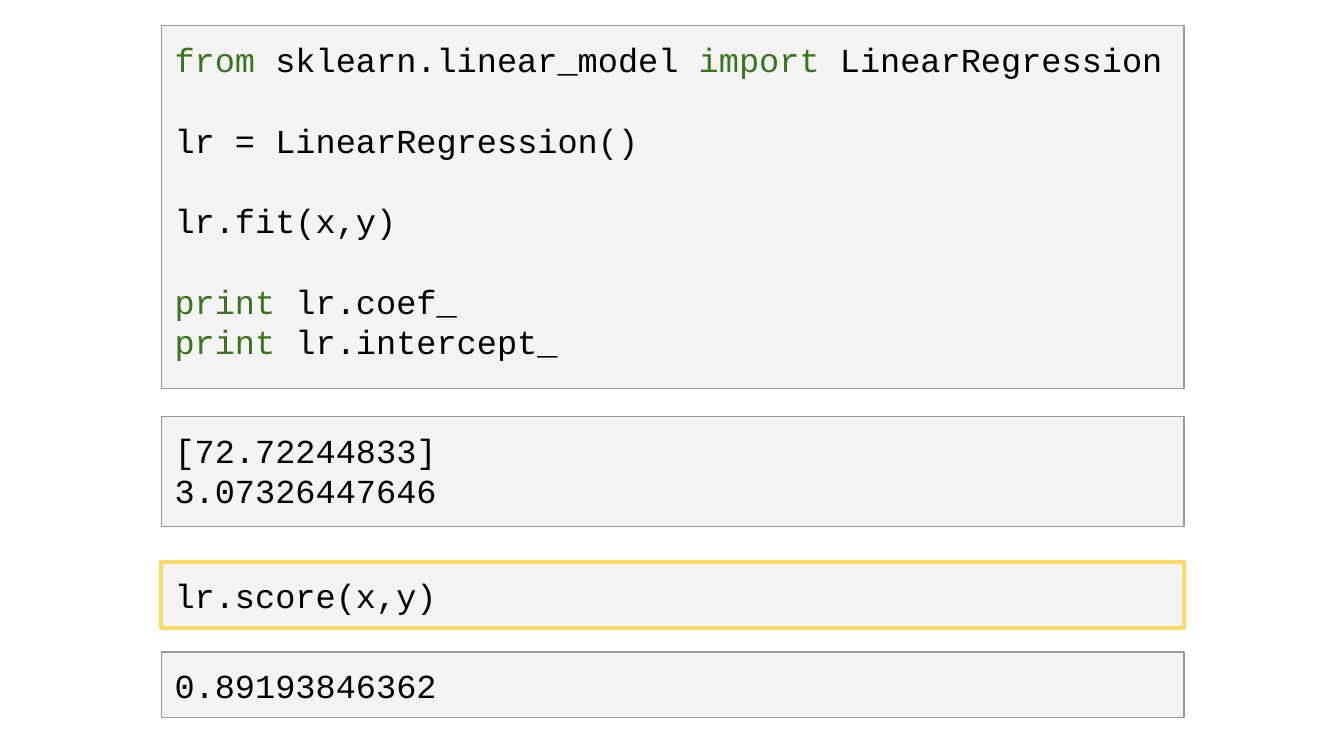
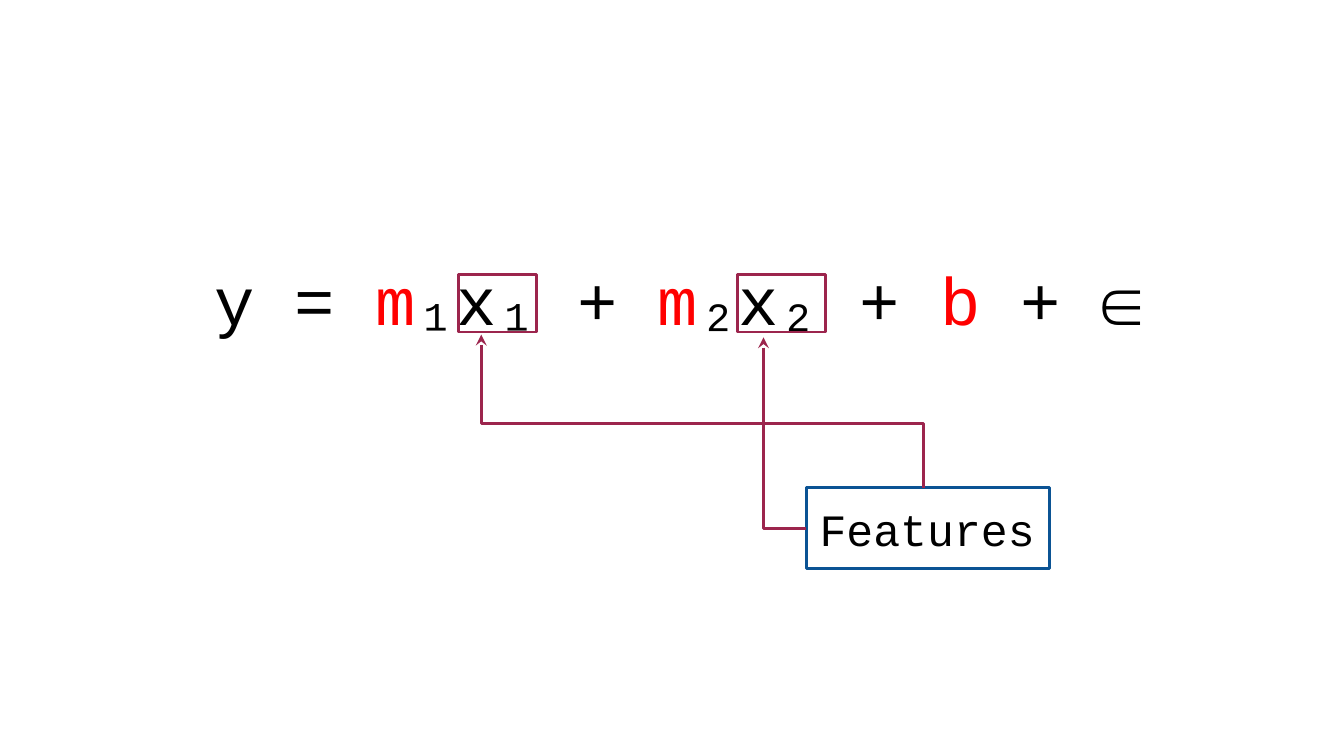
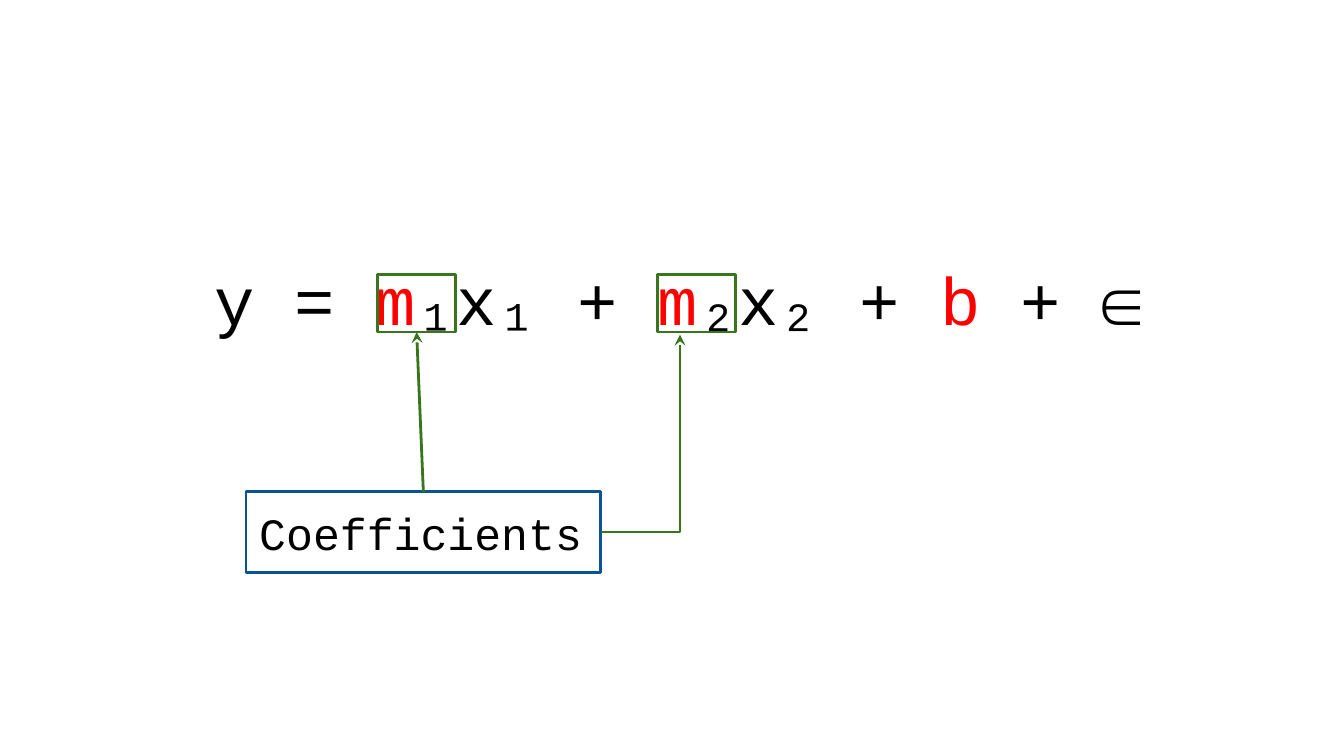
"""Build three slides on linear regression: code, features and coefficients."""
from dataclasses import dataclass

from lxml.etree import SubElement
from pptx import Presentation
from pptx.dml.color import RGBColor as RGB
from pptx.enum.shapes import MSO_CONNECTOR as CONN, MSO_SHAPE as SHAPE
from pptx.enum.text import MSO_ANCHOR as ANCHOR, PP_ALIGN as ALIGN
from pptx.oxml.ns import qn
from pptx.util import Pt


@dataclass(frozen=True)
class Theme:
    font: str = "Courier New"
    code_size: float = 18
    label_size: float = 24
    formula_size: float = 36
    blank_line: float = 21.6
    inset: float = 7.2
    thin: float = 0.75
    medium: float = 1.5
    thick: float = 2.25
    ink: RGB = RGB(0x00, 0x00, 0x00)
    panel: RGB = RGB(0xF3, 0xF3, 0xF3)
    border: RGB = RGB(0x99, 0x99, 0x99)
    highlight: RGB = RGB(0xFF, 0xD9, 0x66)
    green: RGB = RGB(0x38, 0x76, 0x1D)
    red: RGB = RGB(0xFF, 0x00, 0x00)
    blue: RGB = RGB(0x0B, 0x53, 0x94)
    plum: RGB = RGB(0x9C, 0x25, 0x4D)


T = Theme()
Point = tuple[float, float]


@dataclass(frozen=True)
class Box:
    x: float
    y: float
    w: float
    h: float

    def lengths(self) -> tuple:
        return Pt(self.x), Pt(self.y), Pt(self.w), Pt(self.h)


@dataclass(frozen=True)
class Span:
    text: str
    color: RGB = T.ink


@dataclass(frozen=True)
class Line:
    spans: tuple[Span, ...]
    gap: float = 0


@dataclass(frozen=True)
class CodePanel:
    y: float
    h: float
    lines: tuple[Line, ...]
    color: RGB = T.border
    weight: float = T.thin


def line(*spans: Span | str, gap: float = 0) -> Line:
    return Line(tuple(Span(v) if isinstance(v, str) else v for v in spans), gap)


def keyword(text: str) -> Span:
    return Span(text, T.green)


def weight(text: str) -> Span:
    return Span(text, T.red)


CODE_X, CODE_W = 86.4, 547.9
CODE_PANELS = (
    CodePanel(13.7, 194.4, (
        line(keyword("from"), " sklearn.linear_model ", keyword("import"), " LinearRegression"),
        line("lr = LinearRegression()", gap=T.blank_line),
        line("lr.fit(x,y)", gap=T.blank_line),
        line(keyword("print"), " lr.coef_", gap=T.blank_line),
        line(keyword("print"), " lr.intercept_"),
    )),
    CodePanel(223.2, 59, (line("[72.72244833]"), line("3.07326447646"))),
    CodePanel(301, 35.3, (line("lr.score(x,y)"),), T.highlight, T.thick),
    CodePanel(349.2, 35.3, (line("0.89193846362"),)),
)

FORMULA_BOX = Box(82.1, 72, 562.3, 176.4)
FORMULA = line("y = ", weight("m"), "₁x₁ + ", weight("m"), "₂x₂ + ", weight("b"), " + ∈")
MARK_Y, MARK_W, MARK_H = 146.9, 41.8, 31
LABEL_H = 43.2


def write(sp, lines: tuple[Line, ...], size: float,
          align=ALIGN.LEFT, anchor=ANCHOR.TOP) -> None:
    tf = sp.text_frame
    tf.word_wrap = True
    tf.vertical_anchor = anchor
    tf.margin_left = tf.margin_right = tf.margin_top = tf.margin_bottom = Pt(T.inset)
    for i, row in enumerate(lines):
        p = tf.add_paragraph() if i else tf.paragraphs[0]
        p.alignment = align
        p.space_before = Pt(row.gap)
        p.font.name, p.font.size = T.font, Pt(size)
        for span in row.spans:
            r = p.add_run()
            r.text = span.text
            r.font.color.rgb = span.color


def outline(sp, color: RGB, width: float = T.medium) -> None:
    sp.line.color.rgb = color
    sp.line.width = Pt(width)


def add_rect(s, box: Box, color: RGB, width: float = T.medium, fill: RGB | None = None):
    sp = s.shapes.add_shape(SHAPE.RECTANGLE, *box.lengths())
    sp.shadow.inherit = False
    if fill is None:
        sp.fill.background()
    else:
        sp.fill.solid()
        sp.fill.fore_color.rgb = fill
    outline(sp, color, width)
    return sp


def add_arrowhead(sp) -> None:
    ln = sp._element.spPr.find(qn("a:ln"))
    SubElement(ln, qn("a:headEnd"), type="stealth", w="med", len="med")


def add_route(s, points: tuple[Point, ...], color: RGB) -> None:
    (x, y), *rest = points
    builder = s.shapes.build_freeform(Pt(x), Pt(y))
    builder.add_line_segments([(Pt(px), Pt(py)) for px, py in rest], close=False)
    sp = builder.convert_to_shape()
    sp.shadow.inherit = False
    sp.fill.background()
    outline(sp, color)
    add_arrowhead(sp)


def add_arrow(s, start: Point, end: Point, color: RGB, kind=CONN.STRAIGHT):
    cn = s.shapes.add_connector(kind, *(Pt(v) for v in (*start, *end)))
    outline(cn, color)
    add_arrowhead(cn)
    SubElement(cn._element.spPr, qn("a:effectLst"))
    return cn


def add_corner_arrow(s, tip: Point, tail: Point, color: RGB) -> None:
    (right, top), (left, bottom) = tip, tail
    w, h = bottom - top, right - left
    x, y = (left + right - w) / 2, (top + bottom - h) / 2
    cn = add_arrow(s, (x, y), (x + w, y + h), color, CONN.ELBOW)
    spPr = cn._element.spPr
    spPr.find(qn("a:xfrm")).set("rot", "5400000")
    spPr.find(qn("a:prstGeom")).set("prst", "bentConnector2")


def add_mark(s, x: float, color: RGB, w: float = MARK_W) -> None:
    add_rect(s, Box(x, MARK_Y, w, MARK_H), color)


def add_formula_slide(prs, label: str, x: float, y: float, w: float):
    s = prs.slides.add_slide(prs.slide_layouts[6])
    tb = s.shapes.add_textbox(*FORMULA_BOX.lengths())
    write(tb, (FORMULA,), T.formula_size, ALIGN.CENTER, ANCHOR.MIDDLE)
    write(add_rect(s, Box(x, y, w, LABEL_H), T.blue), (line(label),), T.label_size)
    return s


def build_code(prs) -> None:
    s = prs.slides.add_slide(prs.slide_layouts[6])
    for panel in CODE_PANELS:
        box = Box(CODE_X, panel.y, CODE_W, panel.h)
        sp = add_rect(s, box, panel.color, panel.weight, T.panel)
        write(sp, panel.lines, T.code_size)


def build_features(prs) -> None:
    s = add_formula_slide(prs, "Features", 432, 261.4, 130.4)
    add_route(s, ((257.8, 179.3), (257.8, 226.8), (494.6, 226.8), (494.6, 261.4)), T.plum)
    add_route(s, ((409, 180.7), (409, 283), (432, 283)), T.plum)
    add_mark(s, 395.3, T.plum, w=46.8)
    add_mark(s, 245.5, T.plum)


def build_coefficients(prs) -> None:
    s = add_formula_slide(prs, "Coefficients", 131.8, 263.5, 190.1)
    add_corner_arrow(s, (364.3, 179.3), (321.9, 285.1), T.green)
    add_mark(s, 352.1, T.green)
    add_mark(s, 202.3, T.green)
    add_arrow(s, (223.2, 177.9), (226.8, 263.5), T.green)


def main() -> None:
    prs = Presentation()
    prs.slide_width, prs.slide_height = Pt(720), Pt(405)
    build_code(prs)
    build_features(prs)
    build_coefficients(prs)
    prs.save("out.pptx")


if __name__ == "__main__":
    main()
